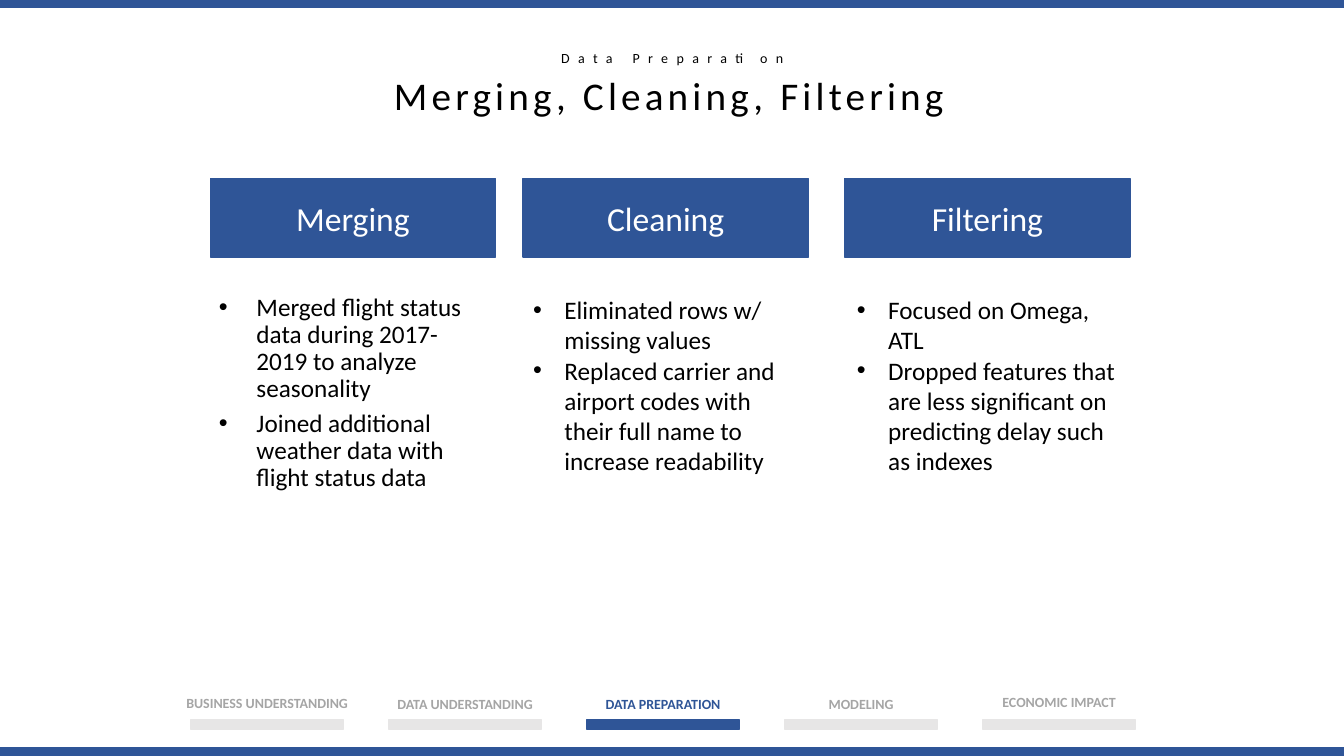
from pptx import Presentation
from pptx.dml.color import RGBColor
from pptx.enum.shapes import MSO_SHAPE as Shape
from pptx.enum.text import MSO_ANCHOR as Anchor, MSO_AUTO_SIZE as Fit, PP_ALIGN as Align
from pptx.oxml.ns import qn
from pptx.util import Cm, Pt
from lxml.etree import SubElement

# Content
TITLE = "Merging, Cleaning, Filtering"
TOPIC = "Data Preparation"
# heading, heading left, list left, list width, indent, line spacing, gap, items
COLUMNS = [
    ("Merging", 5.3, 5.26, 7.29, 0.95, 0.9, 5, [
        "Merged flight status data during 2017-2019 to analyze seasonality",
        "Joined additional weather data with flight status data"]),
    ("Cleaning", 13.18, 13.18, 7.19, 0.79, 1.0, 0, [
        "Eliminated rows w/ missing values",
        "Replaced carrier and airport codes with their full name "
        "to increase readability"]),
    ("Filtering", 21.29, 21.34, 7.19, 0.79, 1.0, 0, [
        "Focused on Omega, ATL",
        "Dropped features that are less significant on predicting delay "
        "such as indexes"]),
]
# label, label top
STEPS = [("BUSINESS UNDERSTANDING", 17.37), ("DATA UNDERSTANDING", 17.4),
         ("DATA PREPARATION", 17.4), ("MODELING", 17.4),
         ("ECONOMIC IMPACT", 17.35)]
ACTIVE = 2

BLUE, PALE, GREY, BLACK, WHITE = "2F5597", "E7E6E6", "A5A5A5", "000000", "FFFFFF"
WIDE, HIGH = 33.87, 19.05


def color(code):
    return RGBColor.from_string(code)


def place(shape, left, top, width, height):
    shape.left, shape.top = Cm(left), Cm(top)
    shape.width, shape.height = Cm(width), Cm(height)


def style(para, size, code, bold=False, align=Align.CENTER):
    para.alignment = align
    font = para.font
    font.name, font.size, font.bold = "Calibri", Pt(size), bold
    font.color.rgb = color(code)


def track(para, points):
    para.runs[0]._r.get_or_add_rPr().set("spc", str(points * 100))


def bar(left, top, width, height, code):
    shape = slide.shapes.add_shape(
        Shape.RECTANGLE, Cm(left), Cm(top), Cm(width), Cm(height))
    shape.shadow.inherit = False
    shape.fill.solid()
    shape.fill.fore_color.rgb = color(code)
    shape.line.color.rgb = color(code)
    shape.line.width = Pt(1)
    return shape


def label(text, left, top, width, size, code, bold=False):
    box = slide.shapes.add_textbox(Cm(left), Cm(top), Cm(width), Cm(0.68))
    box.text_frame.word_wrap = True
    para = box.text_frame.paragraphs[0]
    para.text = text
    style(para, size, code, bold)
    return para


def fill_list(frame, items, indent, spacing, gap):
    frame.auto_size, frame.vertical_anchor = Fit.NONE, Anchor.TOP
    for i, item in enumerate(items):
        para = frame.add_paragraph() if i else frame.paragraphs[0]
        para.text = item
        para.line_spacing = spacing
        para.space_before = Pt(gap if i else 0)
        props = para._p.get_or_add_pPr()
        props.set("marL", str(Cm(indent)))
        props.set("indent", str(-Cm(indent)))
        SubElement(props, qn("a:buFont"), typeface="Arial")
        SubElement(props, qn("a:buChar"), char="•")
        style(para, 18, BLACK, align=Align.LEFT)


deck = Presentation()
deck.slide_width, deck.slide_height = Cm(WIDE), Cm(HIGH)
slide = deck.slides.add_slide(deck.slide_layouts.get_by_name("Comparison"))

# Title and topic
head = slide.shapes.title
place(head, 0, 1.68, 33.73, 2.64)
head.text_frame.text = TITLE
head.text_frame.auto_size = Fit.NONE
head.text_frame.vertical_anchor = Anchor.TOP
style(head.text_frame.paragraphs[0], 28, BLACK)
track(head.text_frame.paragraphs[0], 3)
track(label(TOPIC, 12.94, 1.12, 8, 10, BLACK), 6)

# Edge bands
for top in (-0.05, 18.85):
    bar(0, top, WIDE, 0.23, BLUE)

# Three columns
bodies = [p for p in slide.placeholders if p.placeholder_format.idx > 0]
for body, column in zip(bodies, COLUMNS):
    name, x, left, width, indent, spacing, gap, items = column
    frame = bar(x, 4.5, 7.19, 1.98, BLUE).text_frame
    frame.text = name
    frame.vertical_anchor = Anchor.MIDDLE
    style(frame.paragraphs[0], 24, WHITE)
    place(body, left, 7.29, width, 6.2)
    fill_list(body.text_frame, items, indent, spacing, gap)
for spare in bodies[len(COLUMNS):]:
    spare._element.getparent().remove(spare._element)

# Progress steps
for i, (text, top) in enumerate(STEPS):
    left = 4.8 + 4.99 * i
    bar(left, 18.14, 3.86, 0.23, BLUE if i == ACTIVE else PALE)
    label(text, left - 0.5, top, 4.86, 10, BLUE if i == ACTIVE else GREY, True)

deck.save("out.pptx")
